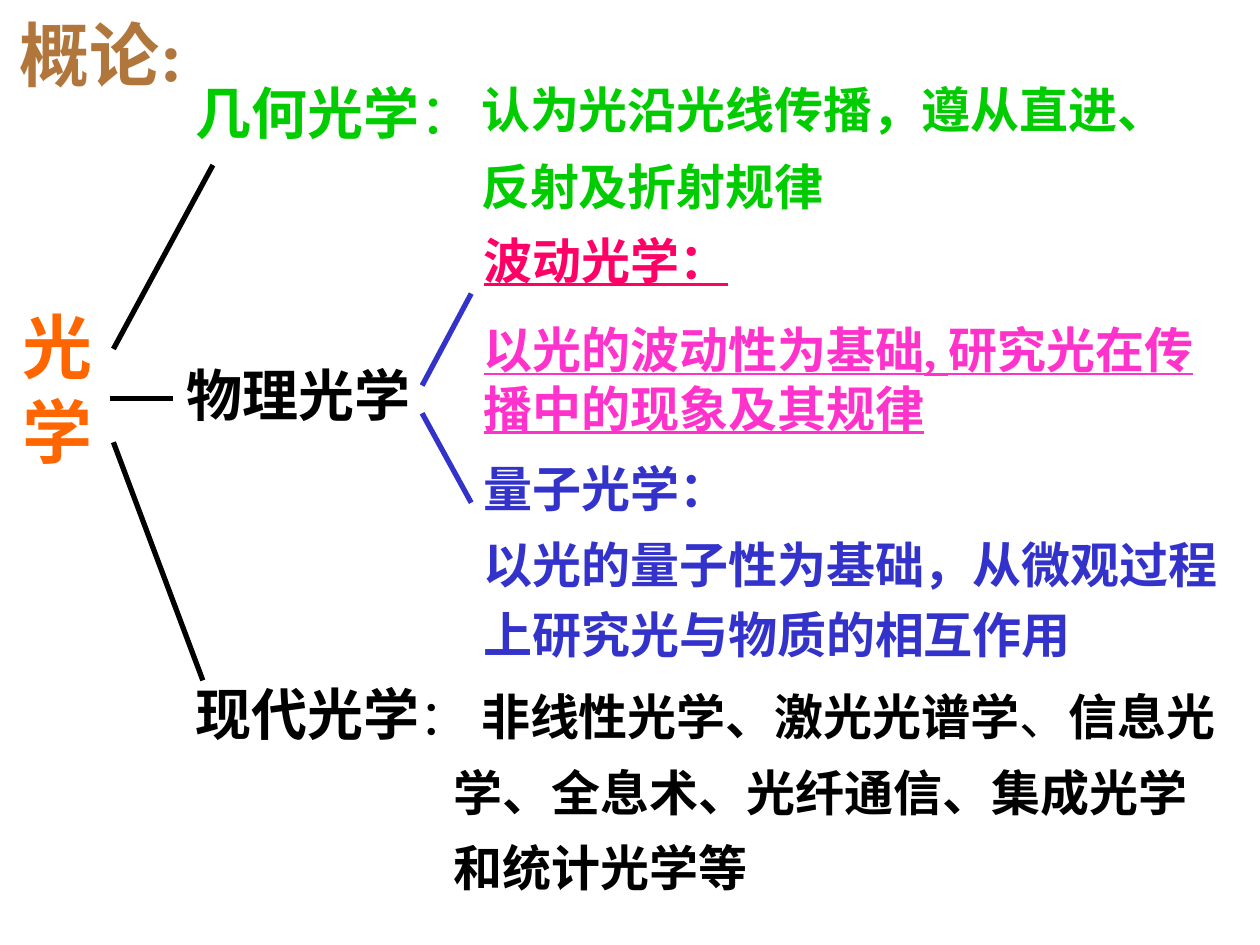
from lxml import etree
from pptx import Presentation
from pptx.dml.color import RGBColor
from pptx.enum.shapes import MSO_CONNECTOR
from pptx.enum.text import MSO_ANCHOR, MSO_AUTO_SIZE, PP_ALIGN
from pptx.oxml.ns import qn
from pptx.util import Inches, Pt

STRAIGHT = MSO_CONNECTOR.STRAIGHT
TOP, MIDDLE = MSO_ANCHOR.TOP, MSO_ANCHOR.MIDDLE
LEFT, CENTER = PP_ALIGN.LEFT, PP_ALIGN.CENTER
NO_FIT = MSO_AUTO_SIZE.NONE

THEME = {
    "brown": "B1763B", "orange": "FF6600", "green": "00CC00", "black": "000000",
    "red": "FF0066", "pink": "FF33CC", "blue": "3333CC", "shadow": "808080",
    "latin": "Times New Roman", "asian": "Montserrat",
    "heading": 40, "branch": 32, "body": 28, "line": 3,
}

# Paragraph: runs of (text, format), plus line spacing, space before and indent
TITLE = [{"runs": [("概论:", {"color": "brown", "size": "heading"})]}]
ROOT = {"color": "orange", "size": "heading", "font": "asian", "shadow": True}
BRANCH = {"size": "branch"}
GREEN = {"color": "green"}
BLUE = {"color": "blue"}
MODERN = {"spacing": 0.75, "before": 17.5}

# Box: (left, top, width, height), paragraphs
BOXES = [
    ((0.08, 2.49, 1.93, 1.42), [
        {"runs": [(t, ROOT)], "spacing": 0.8, "before": 10} for t in "光学"]),
    ((1.45, 0.68, 2.52, 0.53), [
        {"runs": [("几何光学", BRANCH | GREEN),
                  ("：", BRANCH | GREEN | {"bold": False})], "spacing": 0.8}]),
    ((3.43, 0.67, 5.98, 1.09), [
        {"runs": [(t, GREEN)], "spacing": 0.8, "before": 17.5, "indent": 0.29}
        for t in ("认为光沿光线传播，遵从直进、", "反射及折射规律")]),
    ((1.38, 2.81, 2.18, 0.64), [{"runs": [("物理光学", BRANCH)]}]),
    ((3.74, 1.78, 5.99, 2.46), [
        {"runs": [(t, {"color": c, "underline": True})], "before": 17.5}
        for t, c in (("波动光学：", "red"),
                     ("以光的波动性为基础, 研究光在传播中的现象及其规律", "pink"))]),
    ((3.74, 3.59, 6.06, 1.72), [
        {"runs": [("量子光学：", BLUE)]},
        {"runs": [("以光的量子性为基础，从微观过程", BLUE)], "spacing": 0.75, "before": 17.5},
        {"runs": [("上研究光与物质的相互作用", BLUE)], "spacing": 0.75, "before": 15}]),
    ((1.45, 5.47, 8.35, 1.69), [
        {"runs": [("现代光学", BRANCH), ("： ", {"bold": False}),
                  ("非线性光学、激光光谱学", {}), ("、", {"bold": False}),
                  ("信息光", {})], **MODERN},
        {"runs": [("学、全息术、光纤通信、集成光学", {})], "indent": 2.05, **MODERN},
        {"runs": [("和统计光学等", {})], "indent": 2.05, **MODERN}]),
]

# Branch lines: start, end, colour
LINES = [
    ((0.9, 2.77), (1.69, 1.31), "black"),
    ((0.87, 3.16), (1.37, 3.16), "black"),
    ((0.9, 3.51), (1.61, 5.4), "black"),
    ((3.35, 3.06), (3.74, 2.33), "blue"),
    ((3.35, 3.28), (3.74, 3.99), "blue"),
]


def rgb(name):
    return RGBColor.from_string(THEME[name])


def add_text_shadow(latin):
    effects = etree.Element(qn("a:effectLst"))
    shadow = etree.SubElement(effects, qn("a:outerShdw"), dist="25400", dir="2700000")
    etree.SubElement(shadow, qn("a:srgbClr"), val=THEME["shadow"])
    latin.addprevious(effects)


def add_run(p, text, fmt):
    r = p.add_run()
    r.text = text
    values = {"name": THEME[fmt.get("font", "latin")],
              "size": Pt(THEME[fmt.get("size", "body")]),
              "bold": fmt.get("bold", True), "underline": fmt.get("underline")}
    for key, value in values.items():
        setattr(r.font, key, value)
    r.font.color.rgb = rgb(fmt.get("color", "black"))
    latin = r.font._element.find(qn("a:latin"))
    latin.addnext(etree.Element(qn("a:ea"), typeface=THEME["asian"]))
    if fmt.get("shadow"):
        add_text_shadow(latin)


def fill_text(sp, box, paragraphs, wrap=True, anchor=TOP, align=LEFT):
    for key, value in zip(("left", "top", "width", "height"), box):
        setattr(sp, key, Inches(value))
    tf = sp.text_frame
    frame = {"auto_size": NO_FIT, "word_wrap": wrap, "vertical_anchor": anchor}
    for key, value in frame.items():
        setattr(tf, key, value)
    for i, item in enumerate(paragraphs):
        p = tf.add_paragraph() if i else tf.paragraphs[0]
        values = {"alignment": align, "line_spacing": item.get("spacing", 1.0),
                  "space_before": Pt(item.get("before", 0) if i else 0)}
        for key, value in values.items():
            setattr(p, key, value)
        if "indent" in item:
            p._p.get_or_add_pPr().set("marL", str(Inches(item["indent"])))
        for text, fmt in item["runs"]:
            add_run(p, text, fmt)


def add_line(s, start, end, color):
    line = s.shapes.add_connector(STRAIGHT, *(Inches(v) for v in start + end))
    line.line.color.rgb = rgb(color)
    line.line.width = Pt(THEME["line"])
    etree.SubElement(line._element.spPr, qn("a:effectLst"))


def main():
    prs = Presentation()
    prs.slide_width, prs.slide_height = Inches(10), Inches(7.5)
    s = prs.slides.add_slide(prs.slide_layouts[5])

    # Title
    fill_text(s.shapes.title, (0, 0.05, 1.61, 0.75), TITLE, False, MIDDLE, CENTER)
    # Tree lines
    for start, end, color in LINES:
        add_line(s, start, end, color)
    # Tree labels and descriptions
    for box, paragraphs in BOXES:
        sp = s.shapes.add_textbox(*(Inches(v) for v in box))
        fill_text(sp, box, paragraphs)

    prs.save("out.pptx")


if __name__ == "__main__":
    main()
